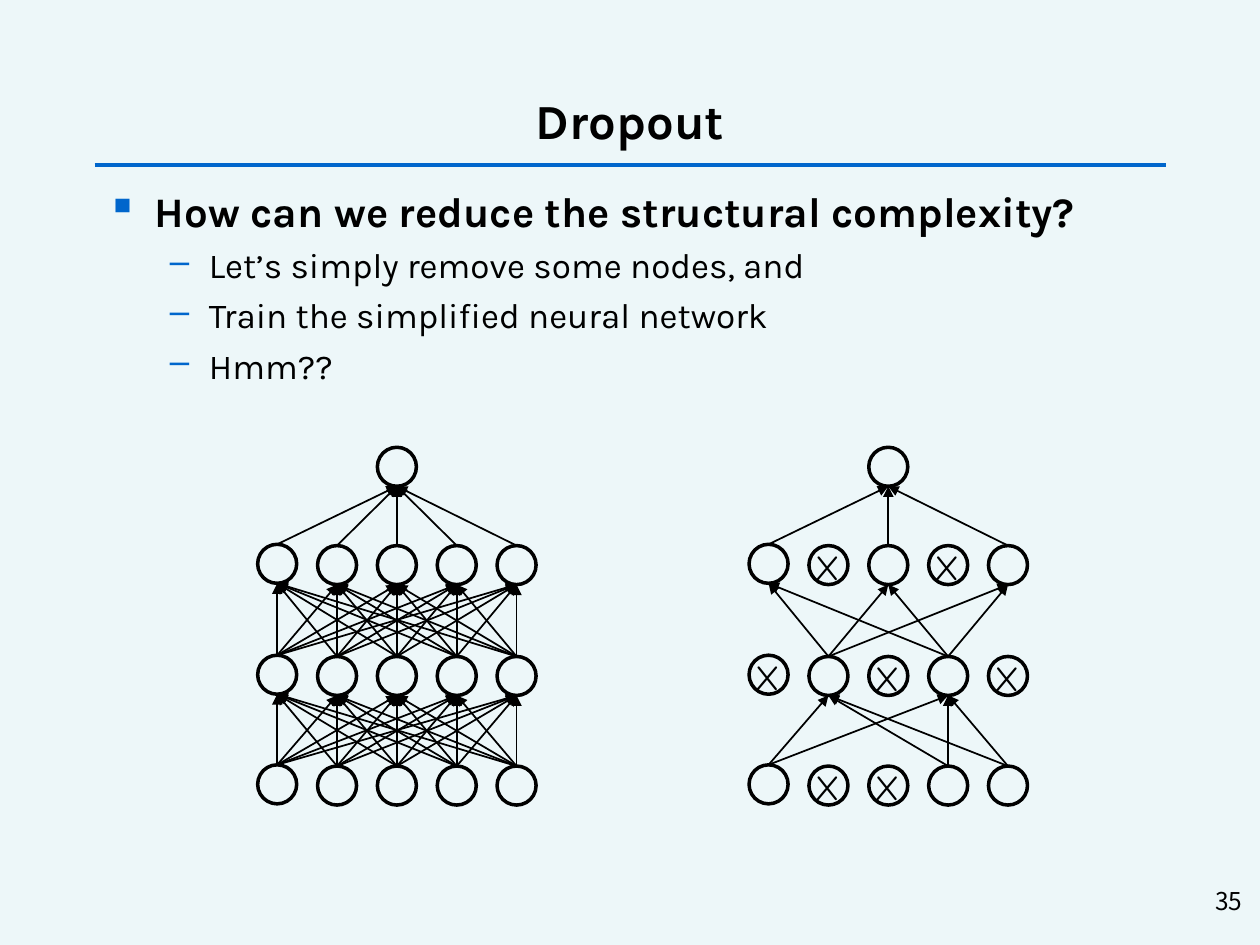
from dataclasses import dataclass
from itertools import pairwise, product

from lxml.etree import SubElement
from pptx import Presentation
from pptx.dml.color import RGBColor
from pptx.enum.shapes import MSO_CONNECTOR, MSO_SHAPE
from pptx.enum.text import MSO_ANCHOR, MSO_AUTO_SIZE, PP_ALIGN
from pptx.oxml.ns import qn
from pptx.util import Inches, Pt


@dataclass(frozen=True)
class Theme:
    background: RGBColor = RGBColor(0xED, 0xF7, 0xF9)
    ink: RGBColor = RGBColor(0, 0, 0)
    accent: RGBColor = RGBColor(0x00, 0x66, 0xCC)
    font: str = "Karla"
    number_font: str = "Noto Sans CJK KR"
    cross_font: str = "Comic Neue"
    title_size: int = 28
    heading_size: int = 24
    item_size: int = 20
    number_size: int = 14
    rule_width: float = 2.25
    node_width: float = 2
    edge_width: float = 1


@dataclass(frozen=True)
class Bullet:
    text: str
    mark: str
    margin: float
    hanging: float
    size: int
    bold: bool = False
    before: float = 4.7


@dataclass(frozen=True)
class Network:
    """Layers run from output to input: 'o' is a node, 'x' a dropped node, '.' a gap."""
    x: float
    layers: tuple[str, ...]


THEME = Theme()
WIDTH, HEIGHT = 10, 7.5
MARGIN = 0.075 * WIDTH
CONTENT = WIDTH - 2 * MARGIN
COLUMN = 0.475
NODE = 0.31
CROSS_W, CROSS_H = 0.41, 0.44
LAYER_TOPS = (3.55, 4.33, 5.21, 6.08)

BULLETS = [
    Bullet("How can we reduce the structural complexity?", "▪", 0.38, 0.38,
           THEME.heading_size, True, 0),
    *(Bullet(text, "–", 0.81, 0.31, THEME.item_size) for text in (
        "Let’s simply remove some nodes, and",
        "Train the simplified neural network",
        "Hmm??",
    )),
]
NETWORKS = [
    Network(2.2, ("..o..", "ooooo", "ooooo", "ooooo")),
    Network(6.1, ("..o..", "oxoxo", "xoxox", "oxxoo")),
]


def style(font, name: str, size: int, bold: bool = False) -> None:
    font.name, font.size, font.bold = name, Pt(size), bold
    font.color.rgb = THEME.ink


def add_text_box(s, x: float, y: float, w: float, h: float):
    tf = s.shapes.add_textbox(Inches(x), Inches(y), Inches(w), Inches(h)).text_frame
    tf.word_wrap = True
    return tf


def add_line(s, start: tuple[float, float], end: tuple[float, float],
             color: RGBColor, width: float, arrow: bool = False) -> None:
    c = s.shapes.add_connector(MSO_CONNECTOR.STRAIGHT,
                               *(Inches(v) for v in (*start, *end)))
    c.line.color.rgb, c.line.width = color, Pt(width)
    if arrow:
        SubElement(c.line._get_or_add_ln(), qn("a:tailEnd"), type="triangle")
    SubElement(c._element.spPr, qn("a:effectLst"))


def add_title(s, text: str) -> None:
    title = s.shapes.title
    title.left, title.top = Inches(MARGIN), Inches(0.67)
    title.width, title.height = Inches(CONTENT), Inches(0.56)
    tf = title.text_frame
    tf.text = text
    tf.vertical_anchor = MSO_ANCHOR.MIDDLE
    p = tf.paragraphs[0]
    p.alignment = PP_ALIGN.CENTER
    style(p.runs[0].font, THEME.font, THEME.title_size, True)
    add_line(s, (MARGIN, 1.31), (WIDTH - MARGIN, 1.31), THEME.accent, THEME.rule_width)


def add_bullets(s, bullets: list[Bullet]) -> None:
    tf = add_text_box(s, MARGIN, 1.42, CONTENT, 1.8)
    for i, b in enumerate(bullets):
        p = tf.add_paragraph() if i else tf.paragraphs[0]
        p.text = b.text
        p.level = 1 if i else 0
        p.space_before = Pt(b.before)
        pPr = p._p.get_or_add_pPr()
        pPr.set("marL", str(Inches(b.margin)))
        pPr.set("indent", str(-Inches(b.hanging)))
        color = SubElement(pPr, qn("a:buClr"))
        SubElement(color, qn("a:srgbClr"), val=str(THEME.accent))
        SubElement(pPr, qn("a:buChar"), char=b.mark)
        style(p.runs[0].font, THEME.font, b.size, b.bold)


def node_position(network: Network, layer: int, column: int) -> tuple[float, float]:
    """Top centre of a node; the first column sits slightly higher."""
    raised = 0.01 if column == 0 else 0
    return network.x + column * COLUMN, LAYER_TOPS[layer] - raised


def add_node(s, x: float, y: float, dropped: bool) -> None:
    node = s.shapes.add_shape(MSO_SHAPE.OVAL, Inches(x - NODE / 2), Inches(y),
                              Inches(NODE), Inches(NODE))
    node.shadow.inherit = False
    node.fill.background()
    node.line.color.rgb, node.line.width = THEME.ink, Pt(THEME.node_width)
    if dropped:
        tf = add_text_box(s, x - CROSS_W / 2, y - 0.05, CROSS_W, CROSS_H)
        tf.word_wrap = False
        tf.auto_size = MSO_AUTO_SIZE.SHAPE_TO_FIT_TEXT
        tf.text = "X"
        style(tf.paragraphs[0].runs[0].font, THEME.cross_font, THEME.item_size)


def add_network(s, network: Network) -> None:
    active = []
    for layer, states in enumerate(network.layers):
        spots = [(node_position(network, layer, column), state)
                 for column, state in enumerate(states) if state != "."]
        for (x, y), state in spots:
            add_node(s, x, y, state == "x")
        active.append([spot for spot, state in spots if state == "o"])
    for upper, lower in pairwise(active):
        for start, (x, y) in product(lower, upper):
            add_line(s, start, (x, y + NODE), THEME.ink, THEME.edge_width, True)


def add_page_number(s, number: int) -> None:
    tf = add_text_box(s, 7.88, 6.98, 2.08, 0.5)
    tf.text = str(number)
    p = tf.paragraphs[0]
    p.alignment = PP_ALIGN.RIGHT
    style(p.runs[0].font, THEME.number_font, THEME.number_size)


def main() -> None:
    prs = Presentation()
    prs.slide_width, prs.slide_height = Inches(WIDTH), Inches(HEIGHT)
    s = prs.slides.add_slide(prs.slide_layouts.get_by_name("Title Only"))
    s.background.fill.solid()
    s.background.fill.fore_color.rgb = THEME.background
    add_title(s, "Dropout")
    add_bullets(s, BULLETS)
    for network in NETWORKS:
        add_network(s, network)
    add_page_number(s, 35)
    prs.save("out.pptx")


if __name__ == "__main__":
    main()
